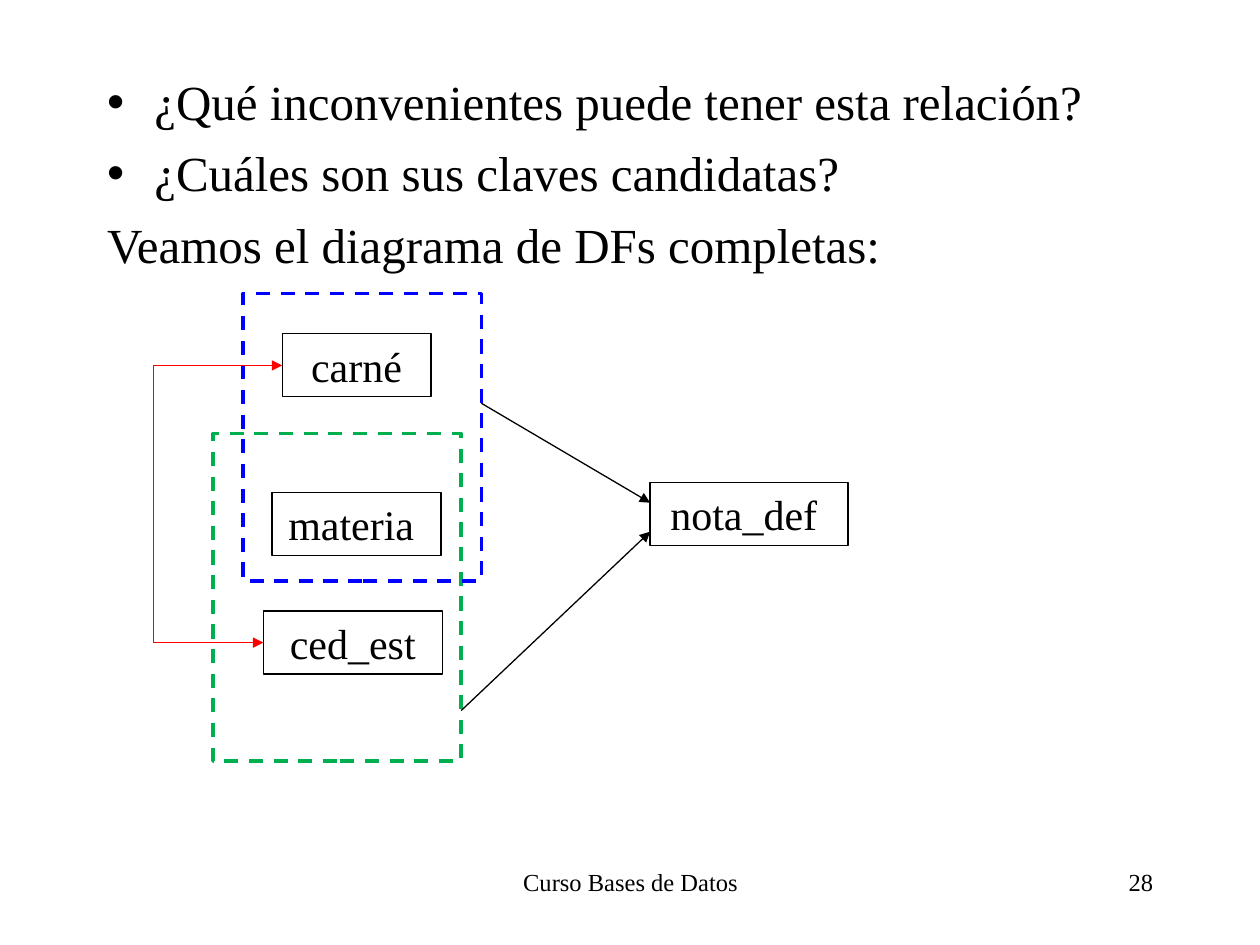
from pptx import Presentation
from pptx.dml.color import RGBColor
from pptx.enum.dml import MSO_LINE
from pptx.enum.shapes import MSO_CONNECTOR, MSO_SHAPE
from pptx.enum.text import MSO_ANCHOR, PP_ALIGN as ALIGN
from pptx.oxml.ns import qn
from pptx.util import Inches, Pt
from lxml.etree import SubElement

COLORS = {"black": "000000", "red": "FF0000", "green": "00B050", "blue": "0000FF"}


class SlideBuilder:
    font = "Times New Roman"
    thin = 0.75

    def __init__(self, slide):
        self.slide = slide
        self.shapes = slide.shapes

    def color(self, name):
        return RGBColor.from_string(COLORS[name])

    def style(self, p, size, align=ALIGN.LEFT):
        p.alignment = align
        for r in p.runs:
            r.font.name = self.font
            r.font.size = Pt(size)
            r.font.color.rgb = self.color("black")

    def outline(self, sp, color, width):
        sp.line.color.rgb = self.color(color)
        sp.line.width = Pt(width)

    def rect(self, x, y, w, h, color, width):
        sp = self.shapes.add_shape(
            MSO_SHAPE.RECTANGLE, Inches(x), Inches(y), Inches(w), Inches(h))
        sp.shadow.inherit = False
        sp.fill.background()
        self.outline(sp, color, width)
        return sp

    def bullets(self, x, y, w, h, items):
        sp = self.slide.placeholders[1]
        sp.left, sp.top, sp.width, sp.height = map(Inches, (x, y, w, h))
        tf = sp.text_frame
        tf.text = "\n".join(text for text, _ in items)
        for i, (p, (_, bulleted)) in enumerate(zip(tf.paragraphs, items)):
            p.space_before = Pt(7 if i else 0)
            if not bulleted:
                SubElement(p._p.get_or_add_pPr(), qn("a:buNone"))
            self.style(p, 28)

    def label(self, x, y, w, h, text, align):
        sp = self.shapes.add_textbox(Inches(x), Inches(y), Inches(w), Inches(h))
        tf = sp.text_frame
        tf.word_wrap = True
        tf.text = text
        self.style(tf.paragraphs[0], 14, align)

    def attribute(self, x, y, w, text):
        sp = self.rect(x, y, w, 0.5, "black", self.thin)
        tf = sp.text_frame
        tf.vertical_anchor = MSO_ANCHOR.TOP
        tf.text = text
        self.style(tf.paragraphs[0], 24, ALIGN.CENTER)
        return sp

    def group(self, x, y, w, h, color):
        self.rect(x, y, w, h, color, 2).line.dash_style = MSO_LINE.DASH

    def line(self, start, end, color, arrow=True, target=None):
        c = self.shapes.add_connector(
            MSO_CONNECTOR.STRAIGHT, *map(Inches, start + end))
        self.outline(c, color, self.thin)
        if target is not None:
            c.end_connect(target, 1)
        if arrow:
            SubElement(c.line._get_or_add_ln(), qn("a:tailEnd"), type="triangle")
        SubElement(c._element.spPr, qn("a:effectLst"))


def main():
    prs = Presentation()
    prs.slide_width, prs.slide_height = Inches(10), Inches(7.5)
    slide = prs.slides.add_slide(prs.slide_layouts[1])
    title = slide.shapes.title._element
    title.getparent().remove(title)
    s = SlideBuilder(slide)

    s.label(3.42, 6.83, 3.17, 0.5, "Curso Bases de Datos", ALIGN.CENTER)
    s.label(7.17, 6.83, 2.08, 0.5, "28", ALIGN.RIGHT)
    s.bullets(0.75, 0.52, 8.5, 6.15, [
        ("¿Qué inconvenientes puede tener esta relación?", True),
        ("¿Cuáles son sus claves candidatas?", True),
        ("Veamos el diagrama de DFs completas:", False),
    ])

    carne = s.attribute(2.24, 2.65, 1.18, "carné")
    ced_est = s.attribute(2.09, 4.85, 1.42, "ced_est")
    s.attribute(2.16, 3.91, 1.34, "materia ")
    s.attribute(5.16, 3.83, 1.57, "nota_def ")

    s.group(1.69, 3.44, 1.97, 2.6, "green")
    s.group(1.93, 2.33, 1.89, 2.28, "blue")

    s.line((3.82, 3.2), (5.16, 3.99), "black")
    s.line((3.66, 5.64), (5.16, 4.22), "black")

    side, top, bottom = 1.22, 2.9, 5.1
    s.line((side, top), (side, bottom), "red", arrow=False)
    s.line((side, top), (2.24, top), "red", target=carne)
    s.line((side, bottom), (2.09, bottom), "red", target=ced_est)

    prs.save("out.pptx")


if __name__ == "__main__":
    main()
